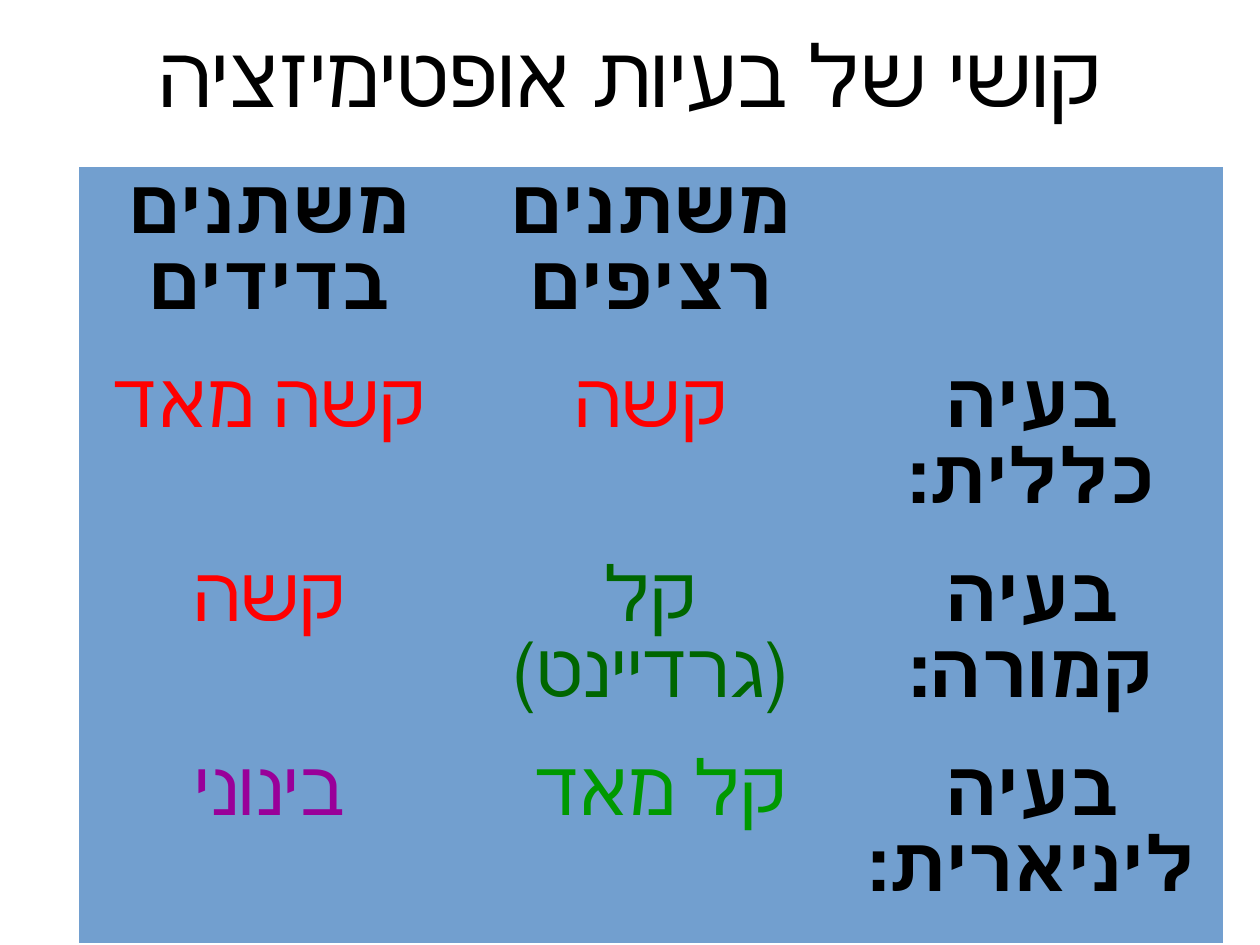
"""Build a slide with a table on how hard optimisation problems are."""
from dataclasses import dataclass

from pptx import Presentation
from pptx.dml.color import RGBColor
from pptx.enum.text import MSO_ANCHOR, MSO_AUTO_SIZE, PP_ALIGN
from pptx.slide import Slide
from pptx.text.text import TextFrame
from pptx.util import Emu, Pt

CENTER = PP_ALIGN.CENTER
MIDDLE = MSO_ANCHOR.MIDDLE
FIXED = MSO_AUTO_SIZE.NONE
SCALE = 9000
WIDTH, HEIGHT = 1120, 840
FONT = "Arial"
PLAIN = "{2D5ABB26-0587-4C30-8999-92F81FD0307C}"
COLORS = {
    "black": "000000",
    "blue": "729FCF",
    "red": "FF0000",
    "dark": "006600",
    "green": "009900",
    "purple": "990099",
}


@dataclass
class Entry:
    text: str
    color: str = "black"
    bold: bool = False


@dataclass
class Box:
    left: int
    top: int
    width: int
    height: int


HEAD = Box(0, 19, WIDTH, 92)
GRID = Box(70, 148, 1017, 690)
ROWS = [
    [Entry("משתנים בדידים", bold=True), Entry("משתנים רציפים", bold=True), Entry("")],
    [Entry("קשה מאד", "red"), Entry("קשה", "red"), Entry("בעיה כללית:", bold=True)],
    [Entry("קשה", "red"), Entry("קל (גרדיינט)", "dark"), Entry("בעיה קמורה:", bold=True)],
    [Entry("בינוני", "purple"), Entry("קל מאד ", "green"), Entry("בעיה ליניארית:", bold=True)],
]


def px(size: int) -> Emu:
    return Emu(size * SCALE)


def write(frame: TextFrame, text: str, *, size: int, color: str = "black",
          bold: bool = False, line: int = 0, before: int = 0) -> None:
    frame.word_wrap = True
    para = frame.paragraphs[0]
    para.alignment = CENTER
    para._p.get_or_add_pPr().set("rtl", "1")
    para.space_before = Pt(before)
    if line:
        para.line_spacing = Pt(line)
    run = para.add_run()
    run.text = text
    font = run.font
    font.name = FONT
    font.size = Pt(size)
    font.bold = bold
    font.color.rgb = RGBColor.from_string(COLORS[color])


def draw_title(slide: Slide, box: Box, text: str) -> None:
    title = slide.shapes.title
    title.left, title.top = px(box.left), px(box.top)
    title.width, title.height = px(box.width), px(box.height)
    frame = title.text_frame
    frame.auto_size = FIXED
    frame.vertical_anchor = MIDDLE
    frame.margin_left = frame.margin_right = 0
    frame.margin_top = frame.margin_bottom = 0
    write(frame, text, size=54)


def draw_table(slide: Slide, box: Box, rows: list[list[Entry]]) -> None:
    table = slide.shapes.add_table(
        len(rows), len(rows[0]), px(box.left), px(box.top),
        px(box.width), px(box.height)).table
    table.first_row = table.horz_banding = False
    table._tbl.tblPr[0].text = PLAIN
    for i, row in enumerate(rows):
        for j, entry in enumerate(row):
            cell = table.cell(i, j)
            cell.fill.solid()
            cell.fill.fore_color.rgb = RGBColor.from_string(COLORS["blue"])
            if entry.text:
                write(cell.text_frame, entry.text, size=48, color=entry.color,
                      bold=entry.bold, line=48, before=2)


def main() -> None:
    deck = Presentation()
    deck.slide_width, deck.slide_height = px(WIDTH), px(HEIGHT)
    slide = deck.slides.add_slide(deck.slide_layouts[5])
    draw_title(slide, HEAD, "קושי של בעיות אופטימיזציה")
    draw_table(slide, GRID, ROWS)
    deck.save("out.pptx")


if __name__ == "__main__":
    main()
